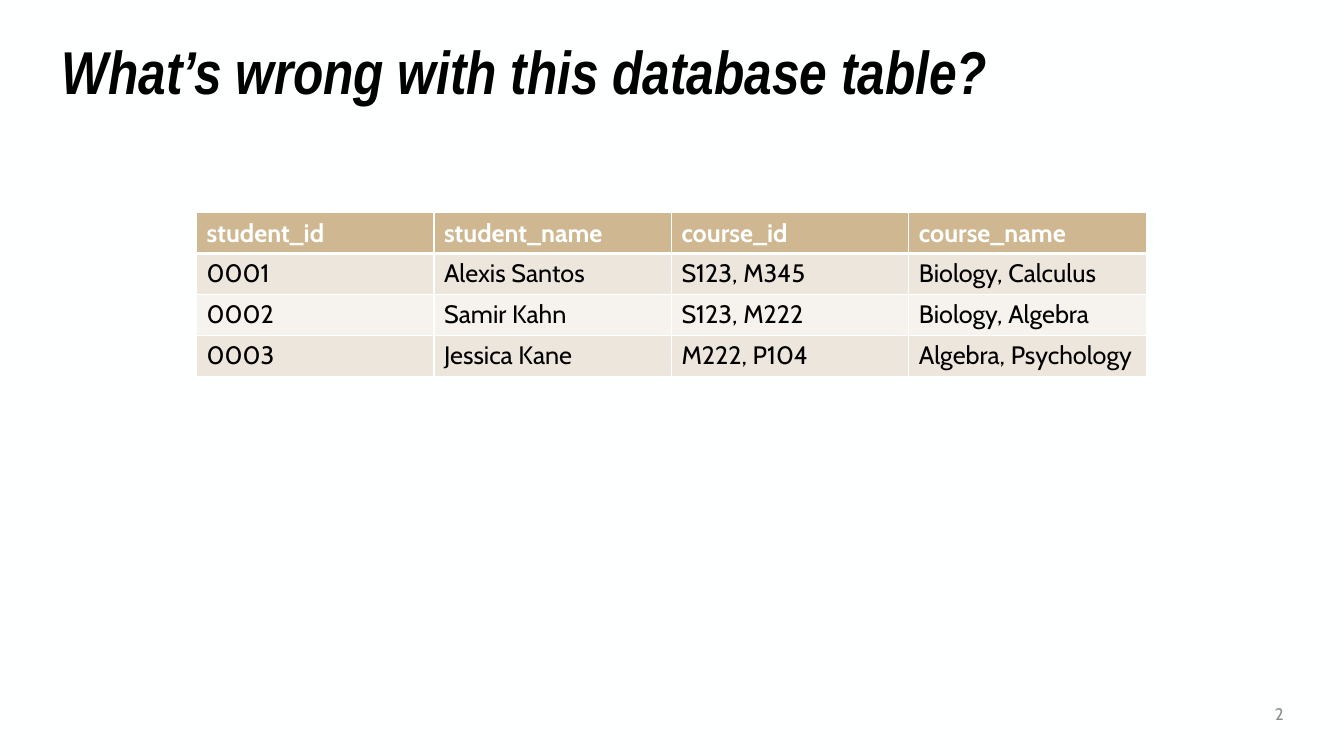
from lxml import etree
from pptx import Presentation
from pptx.dml.color import RGBColor
from pptx.enum import text as t
from pptx.oxml import ns
from pptx.util import Inches, Pt

COLORS = {
    "paper": "FEFFFF",
    "ink": "000000",
    "muted": "8C8C8C",
    "header": "CFB891",
    "odd": "EDE6DC",
    "even": "F6F3EE",
}
TITLE_FONT = "Arial Narrow"
BODY_FONT = "Cabin"

STUDENT_ROWS = [
    ["student_id", "student_name", "course_id", "course_name"],
    ["0001", "Alexis Santos", "S123, M345", "Biology, Calculus"],
    ["0002", "Samir Kahn", "S123, M222", "Biology, Algebra"],
    ["0003", "Jessica Kane", "M222, P104", "Algebra, Psychology"],
]


def color(name):
    return RGBColor.from_string(COLORS[name])


def write(frame, words, size=18, font=BODY_FONT, ink="ink", bold=False,
          italic=False, align=t.PP_ALIGN.LEFT, anchor=None, spacing=None):
    """Put one formatted paragraph in a text frame."""
    frame.word_wrap = True
    if anchor is not None:
        frame.vertical_anchor = anchor
    para = frame.paragraphs[0]
    para.alignment = align
    if spacing:
        para.line_spacing = spacing
    span = para.add_run()
    span.text = words
    span.font.size = Pt(size)
    span.font.name = font
    span.font.bold = bold
    span.font.italic = italic
    span.font.color.rgb = color(ink)


def set_borders(cell, **widths):
    """Draw the cell's edges; schema order is left, right, top, bottom."""
    properties = cell._tc.get_or_add_tcPr()
    for index, side in enumerate("LRTB"):
        line = etree.Element(ns.qn(f"a:ln{side}"), w=str(Pt(widths.get(side, 1))))
        fill = etree.SubElement(line, ns.qn("a:solidFill"))
        etree.SubElement(fill, ns.qn("a:srgbClr"), val=COLORS["paper"])
        properties.insert(index, line)


def add_title(page, words):
    title = page.shapes.title
    title.left, title.top = Inches(0.51), Inches(0.42)
    title.width, title.height = Inches(12.32), Inches(0.64)
    write(title.text_frame, words, size=43.2, font=TITLE_FONT, bold=True,
          italic=True, anchor=t.MSO_ANCHOR.MIDDLE, spacing=0.9)
    title.text_frame.auto_size = t.MSO_AUTO_SIZE.NONE


def add_page_number(page, number):
    box = page.shapes.add_textbox(Inches(11.63), Inches(6.88), Inches(1.2), Inches(0.4))
    write(box.text_frame, number, size=12, ink="muted",
          align=t.PP_ALIGN.RIGHT, anchor=t.MSO_ANCHOR.MIDDLE)


def add_student_table(page, rows):
    table = page.shapes.add_table(
        len(rows), len(rows[0]),
        Inches(1.95), Inches(2.11), Inches(9.42), Inches(1.62)).table
    for r, row in enumerate(rows):
        is_header = r == 0
        band = "header" if is_header else "odd" if r % 2 else "even"
        for c, words in enumerate(row):
            cell = table.cell(r, c)
            cell.fill.solid()
            cell.fill.fore_color.rgb = color(band)
            write(cell.text_frame, words, bold=is_header,
                  ink="paper" if is_header else "ink")
            # A heavier rule parts the header from the records
            set_borders(cell, T=3 if r == 1 else 1, B=3 if is_header else 1)


def main():
    deck = Presentation()
    deck.slide_width, deck.slide_height = Inches(13.33), Inches(7.5)
    page = deck.slides.add_slide(deck.slide_layouts.get_by_name("Title Only"))
    page.background.fill.solid()
    page.background.fill.fore_color.rgb = color("paper")

    add_title(page, "What’s wrong with this database table?")
    add_student_table(page, STUDENT_ROWS)
    add_page_number(page, "2")
    deck.save("out.pptx")


if __name__ == "__main__":
    main()
